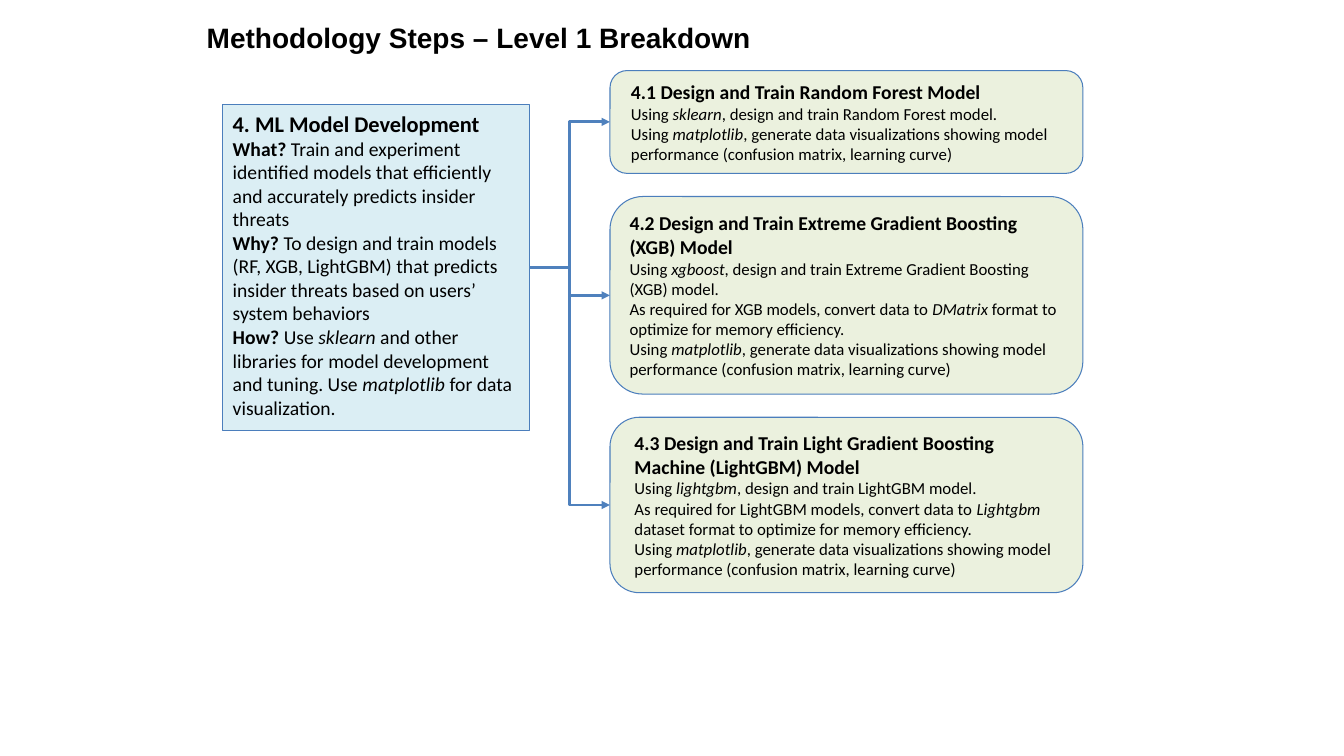
from lxml import etree
from pptx import Presentation
from pptx import util as u
from pptx.dml.color import RGBColor
from pptx.enum import shapes, text
from pptx.oxml.ns import qn

HUES = {"ink": "000000", "step": "DBEEF4", "card": "EBF1DE",
        "edge": "4B7EBC", "link": "4F81BD"}
COLS, ROWS = 1333, 750  # grid of 0.01 inch cells
CELL = u.Inches(0.01)


def write(frame, paras, fmt, indent=0):
    """Fill a frame with (size, bold lead, rest); *stars* mark italics in the rest."""
    for name, value in fmt.items():
        setattr(frame, name, value)
    for i, (size, lead, rest) in enumerate(paras):
        para = frame.paragraphs[0] if i == 0 else frame.add_paragraph()
        para.alignment = text.PP_ALIGN.LEFT
        if indent:
            para._p.get_or_add_pPr().set("marL", str(indent * CELL))
        parts = [(lead, True, False)]
        parts += [(s, False, n % 2 == 1) for n, s in enumerate(rest.split("*"))]
        for words, bold, slant in parts:
            if words:
                run = para.add_run()
                run.text = words
                look = {"name": "Calibri", "size": u.Pt(size), "bold": bold, "italic": slant}
                for name, value in look.items():
                    setattr(run.font, name, value)
                run.font.color.rgb = RGBColor.from_string(HUES["ink"])


def block(kind, area, hue):
    """Add a filled, thinly outlined shape over an area of grid cells."""
    box = slide.shapes.add_shape(kind, *[n * CELL for n in area])
    box.shadow.inherit = False
    box.fill.solid()
    box.fill.fore_color.rgb = RGBColor.from_string(HUES[hue])
    box.line.color.rgb = RGBColor.from_string(HUES["edge"])
    box.line.width = u.Pt(0.75)
    return box


deck = Presentation()
deck.slide_width, deck.slide_height = COLS * CELL, ROWS * CELL
slide = deck.slides.add_slide(deck.slide_layouts[5])

# Title
title = slide.shapes.title
place = {"left": 195, "top": 14, "width": 848, "height": 46}
for name, value in place.items():
    setattr(title, name, value * CELL)
title.text_frame.text = "Methodology Steps – Level 1 Breakdown"
title.text_frame.vertical_anchor = text.MSO_ANCHOR.MIDDLE
head = title.text_frame.paragraphs[0]
head.alignment = text.PP_ALIGN.LEFT
for name, value in {"name": "Arial", "size": u.Pt(20), "bold": True}.items():
    setattr(head.font, name, value)
head.font.color.rgb = RGBColor.from_string(HUES["ink"])

# Main step
step = block(shapes.MSO_SHAPE.RECTANGLE, (221, 104, 304, 323), "step")
write(step.text_frame, [
    (16, "4. ML Model Development", ""),
    (14, "What? ", "Train and experiment identified models that efficiently "
                   "and accurately predicts insider threats"),
    (14, "Why?", " To design and train models (RF, XGB, LightGBM) that predicts "
                 "insider threats based on users’ system behaviors"),
    (14, "How?", " Use *sklearn* and other libraries for model development "
                 "and tuning. Use *matplotlib* for data visualization."),
], {"word_wrap": True, "vertical_anchor": text.MSO_ANCHOR.TOP})

# Substeps: height, indent, heading, lines
PLOTS = ("Using *matplotlib*, generate data visualizations showing model "
         "performance (confusion matrix, learning curve)")
CARDS = [
    (102, 6, "4.1 Design and Train Random Forest Model",
     ["Using *sklearn*, design and train Random Forest model."]),
    (196, 0, "4.2 Design and Train Extreme Gradient Boosting (XGB) Model",
     ["Using *xgboost*, design and train Extreme Gradient Boosting (XGB) model.",
      "As required for XGB models, convert data to *DMatrix* format to "
      "optimize for memory efficiency."]),
    (174, 6, "4.3 Design and Train Light Gradient Boosting Machine (LightGBM) Model",
     ["Using *lightgbm*, design and train LightGBM model.",
      "As required for LightGBM models, convert data to *Lightgbm* dataset "
      "format to optimize for memory efficiency."]),
]
GAP = 23
top = 70
for high, indent, name, lines in CARDS:
    card = block(shapes.MSO_SHAPE.ROUNDED_RECTANGLE, (605, top, 469, high), "card")
    paras = [(14, name, "")] + [(12, "", line) for line in lines + [PLOTS]]
    write(card.text_frame, paras,
          {"word_wrap": True, "vertical_anchor": text.MSO_ANCHOR.MIDDLE}, indent)
    top += high + GAP

    link = slide.shapes.add_connector(shapes.MSO_CONNECTOR.ELBOW, 0, 0, 0, 0)
    link.begin_connect(step, 3)
    link.end_connect(card, 1)
    link.line.color.rgb = RGBColor.from_string(HUES["link"])
    link.line.width = u.Pt(2)
    etree.SubElement(link.line._get_or_add_ln(), qn("a:tailEnd"), type="triangle")
    etree.SubElement(link._element.spPr, qn("a:effectLst"))

deck.save("out.pptx")
